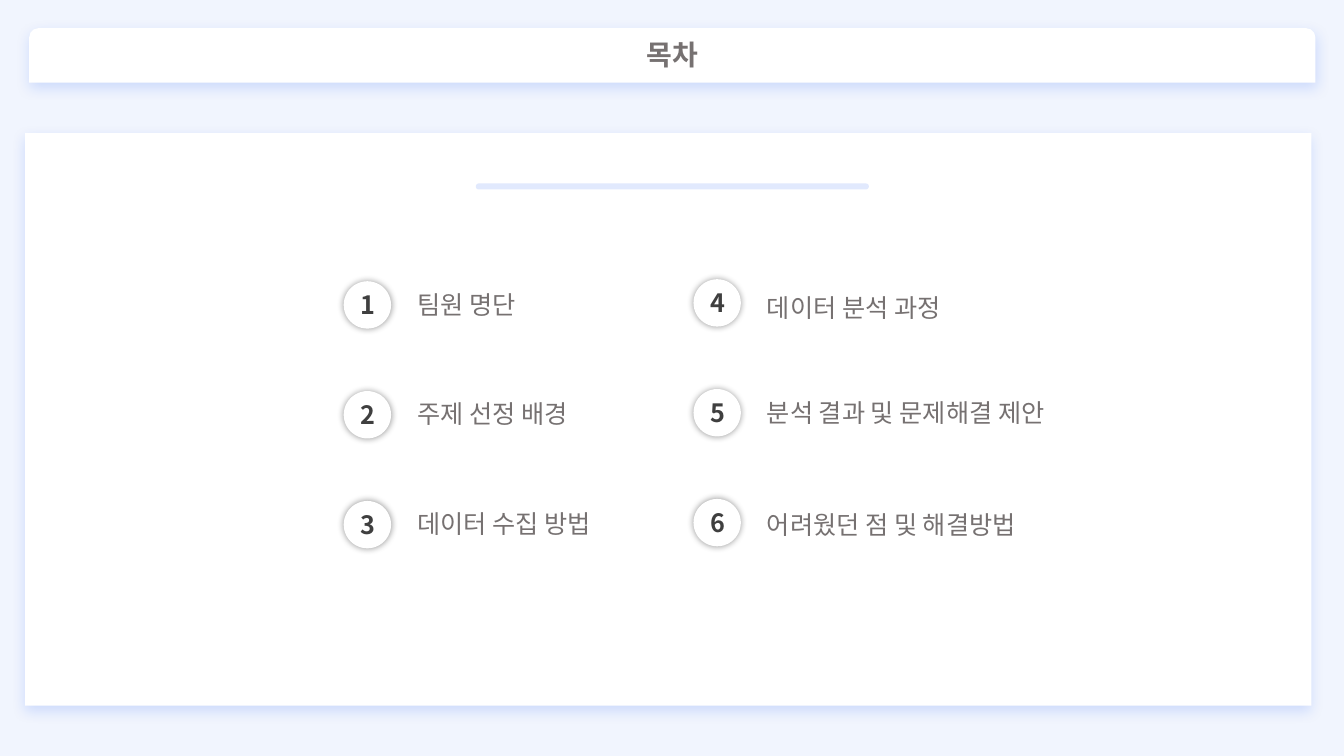
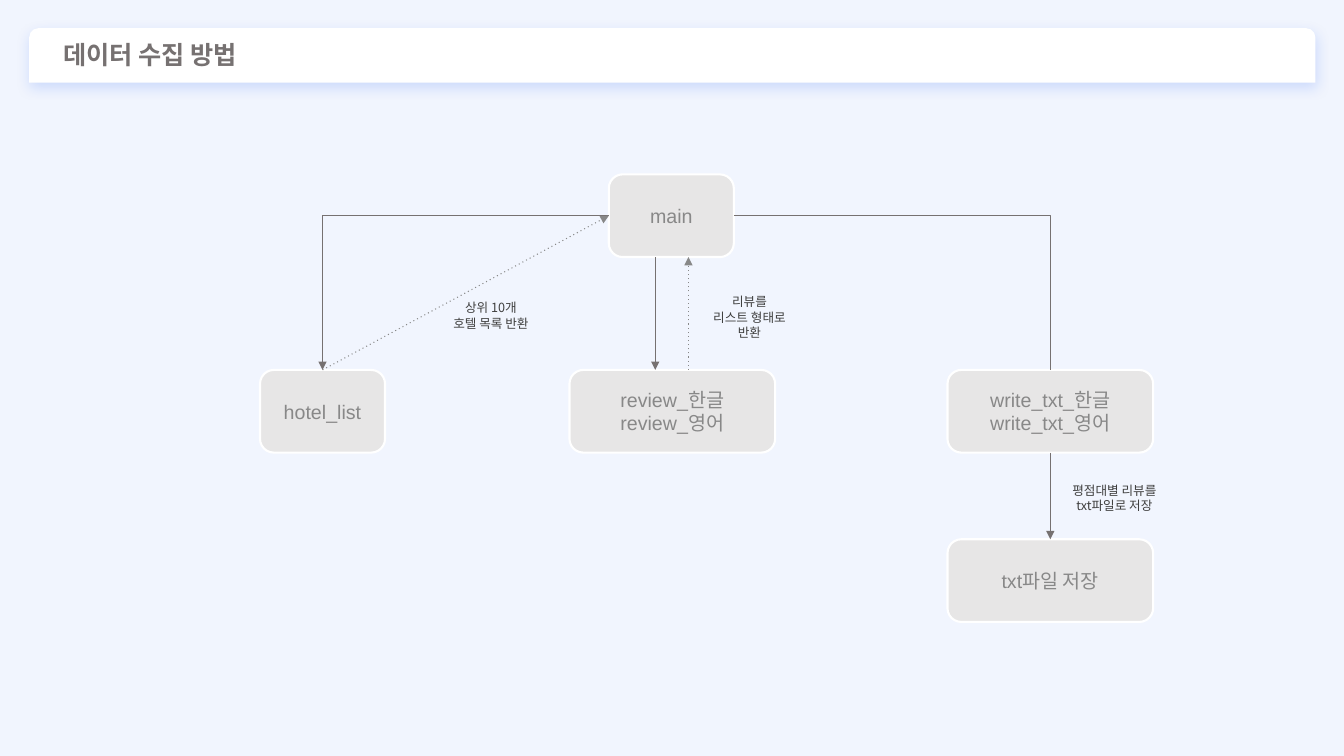
import dataclasses

import lxml.etree
import pptx
import pptx.dml.color
import pptx.enum.shapes
import pptx.enum.text
import pptx.oxml.ns
import pptx.util

SHAPE = pptx.enum.shapes.MSO_SHAPE
CONNECTOR = pptx.enum.shapes.MSO_CONNECTOR
ALIGN = pptx.enum.text.PP_ALIGN
ANCHOR = pptx.enum.text.MSO_ANCHOR
TOP, LEFT, BOTTOM, RIGHT = range(4)

# Shared look
PAPER, WHITE, ACCENT, NODE = "F1F5FE", "FFFFFF", "E1E9FD", "E7E6E6"
INK, GRAY, PALE = "3F3F3F", "767171", "888888"
KOREAN, LATIN = "Noto Sans CJK KR", "Arial"
# Shadows: colour, opacity %, blur pt, distance pt
BAND_SHADOW = ("0145F2", 15, 10, 3)
PANEL_SHADOW = ("0145F2", 15, 10, 4)
BADGE_SHADOW = ("000000", 40, 5, 0)


def cells(count):
    """Length of a number of grid cells, ten to the inch."""
    return pptx.util.Inches(count / 10)


@dataclasses.dataclass
class Box:
    """A region in grid cells."""
    left: float
    top: float
    width: float
    height: float

    def inside(self, column, row, width, height):
        return Box(self.left + column, self.top + row, width, height)

    def point(self, column, row):
        return cells(self.left + column), cells(self.top + row)

    def extent(self):
        return (*self.point(0, 0), cells(self.width), cells(self.height))


BAND = Box(2.9, 2.8, 127.6, 5.4)
PANEL = Box(2.5, 13.2, 127.6, 56.8)
FLOW = Box(25.8, 17.3, 88.6, 44.4)


def color(value):
    return pptx.dml.color.RGBColor.from_string(value)


def add_xml(parent, tag, **attributes):
    return lxml.etree.SubElement(parent, pptx.oxml.ns.qn(tag), attributes)


def add_shadow(shape, tint, opacity, blur, distance):
    effects = shape._element.spPr.find(pptx.oxml.ns.qn("a:effectLst"))
    outer = add_xml(effects, "a:outerShdw", blurRad=str(pptx.util.Pt(blur)),
                    dist=str(pptx.util.Pt(distance)), dir="5400000",
                    algn="ctr", rotWithShape="0")
    add_xml(add_xml(outer, "a:srgbClr", val=tint), "a:alpha", val=str(opacity * 1000))


def add_block(slide, preset, box, fill, adjust=(), outline=None, shadow=None):
    block = slide.shapes.add_shape(preset, *box.extent())
    for index, value in enumerate(adjust):
        block.adjustments[index] = value
    block.fill.solid()
    block.fill.fore_color.rgb = color(fill)
    if outline:
        block.line.color.rgb = color(outline)
        block.line.width = pptx.util.Pt(1.5)
    else:
        block.line.fill.background()
    block.shadow.inherit = False
    if shadow:
        add_shadow(block, *shadow)
    return block


def write(shape, text, size, tint, face=KOREAN, bold=False, align=ALIGN.CENTER,
          anchor=ANCHOR.MIDDLE, inset=0.05, spacing=None):
    frame = shape.text_frame
    frame.word_wrap = True
    frame.vertical_anchor = anchor
    frame.margin_left = frame.margin_right = pptx.util.Inches(0.1)
    frame.margin_top = frame.margin_bottom = pptx.util.Inches(inset)
    frame.text = text
    for paragraph in frame.paragraphs:
        paragraph.alignment = align
        paragraph.line_spacing = spacing
        font = paragraph.font
        font.size, font.bold, font.name = pptx.util.Pt(size), bold, face
        font.color.rgb = color(tint)
        add_xml(font._element, "a:ea", typeface=KOREAN)


def add_text(slide, box, text, size, tint, **style):
    write(slide.shapes.add_textbox(*box.extent()), text, size, tint, **style)


def add_line(slide, start, end, tint=GRAY, bent=False, dotted=False, arrow=True):
    """Each end is a (shape, side) pair or a point."""
    kind = CONNECTOR.ELBOW if bent else CONNECTOR.STRAIGHT
    joined = not isinstance(start[0], int)
    points = (0, 0, 0, 0) if joined else (*start, *end)
    line = slide.shapes.add_connector(kind, *points)
    if joined:
        line.begin_connect(*start)
        line.end_connect(*end)
    line.line.color.rgb = color(tint)
    line.line.width = pptx.util.Pt(0.75)
    properties = line._element.spPr
    stroke = properties.find(pptx.oxml.ns.qn("a:ln"))
    if bent:
        properties.find(pptx.oxml.ns.qn("a:prstGeom")).set("prst", "bentConnector2")
    if dotted:
        add_xml(stroke, "a:prstDash", val="dot")
    if arrow:
        add_xml(stroke, "a:tailEnd", type="triangle")
    add_xml(properties, "a:effectLst")


def add_titled_slide(deck, title, size, indent, align):
    slide = deck.slides.add_slide(deck.slide_layouts[6])
    add_block(slide, SHAPE.ROUND_2_SAME_RECTANGLE, BAND, WHITE,
              adjust=(0.167, 0), shadow=BAND_SHADOW)
    add_text(slide, BAND.inside(indent, 1, 115, 3.5), title, size, GRAY,
             bold=True, align=align, spacing=0.9)
    return slide


def draw_contents(slide, panel):
    add_block(slide, SHAPE.RECTANGLE, panel, WHITE, shadow=PANEL_SHADOW)
    add_block(slide, SHAPE.ROUNDED_RECTANGLE, panel.inside(44.7, 5, 39, 0.6),
              ACCENT, adjust=(0.5,))
    # Topic and the drop of its label below the top of the badge
    topics = [("팀원 명단", 0.3), ("주제 선정 배경", 0.2), ("데이터 수집 방법", 0.2),
              ("데이터 분석 과정", 0.8), ("분석 결과 및 문제해결 제안", 0.3),
              ("어려웠던 점 및 해결방법", 0.5)]
    for index, (topic, drop) in enumerate(topics):
        column, row = divmod(index, 3)
        entry = panel.inside(31.6 + 34.7 * column, 14.7 - 0.2 * column + 10.9 * row, 41, 4.7)
        badge = add_block(slide, SHAPE.OVAL, entry.inside(0, 0, 4.7, 4.7), WHITE,
                          shadow=BADGE_SHADOW)
        write(badge, str(index + 1), 18, INK, bold=True)
        add_text(slide, entry.inside(6.3, drop, 34, 4), topic, 18, GRAY,
                 align=ALIGN.LEFT, anchor=ANCHOR.TOP)


def draw_flow(slide, flow):
    narrow, wide, height = 12.4, 20.4, 8.2
    calls = 19.4  # row of the called functions

    def add_node(text, column, row, width):
        node = add_block(slide, SHAPE.ROUNDED_RECTANGLE,
                         flow.inside(column, row, width, height), NODE,
                         adjust=(0.167,), outline=WHITE)
        write(node, text, 14, PALE, face=LATIN, inset=0.1)
        return node

    # Functions
    main_node = add_node("main", 34.6, 0, narrow)
    hotels = add_node("hotel_list", 0, calls, narrow)
    add_node("review_한글\nreview_영어", 30.7, calls, wide)
    writer = add_node("write_txt_한글\nwrite_txt_영어", 68.2, calls, wide)
    saved = add_node("txt파일 저장", 68.2, 36.2, wide)

    # Calls
    add_line(slide, (main_node, LEFT), (hotels, TOP), bent=True)
    add_line(slide, flow.point(39.2, height), flow.point(39.2, calls))
    add_line(slide, (main_node, RIGHT), (writer, TOP), bent=True, arrow=False)
    add_line(slide, (writer, BOTTOM), (saved, TOP))

    # Returned values
    add_line(slide, (hotels, TOP), (main_node, LEFT), PALE, dotted=True)
    add_line(slide, flow.point(42.5, calls), flow.point(42.5, height), PALE, dotted=True)

    # Notes
    for text, *place in [("상위 10개\n호텔 목록 반환", 13.7, 11.5, 18.4, 5.2),
                         ("리뷰를\n리스트 형태로\n반환", 38.9, 10.9, 19.3, 7),
                         ("평점대별 리뷰를\ntxt파일로 저장", 75.1, 29.6, 19.3, 7)]:
        add_text(slide, flow.inside(*place), text, 9, INK, anchor=ANCHOR.TOP, inset=0.1)


def main():
    deck = pptx.Presentation()
    deck.slide_width, deck.slide_height = cells(133.33), cells(75)
    backdrop = deck.slide_master.background.fill
    backdrop.solid()
    backdrop.fore_color.rgb = color(PAPER)

    draw_contents(add_titled_slide(deck, "목차", 20, 6.3, ALIGN.CENTER), PANEL)
    draw_flow(add_titled_slide(deck, "데이터 수집 방법", 18, 2.4, ALIGN.LEFT), FLOW)
    deck.save("out.pptx")


if __name__ == "__main__":
    main()
